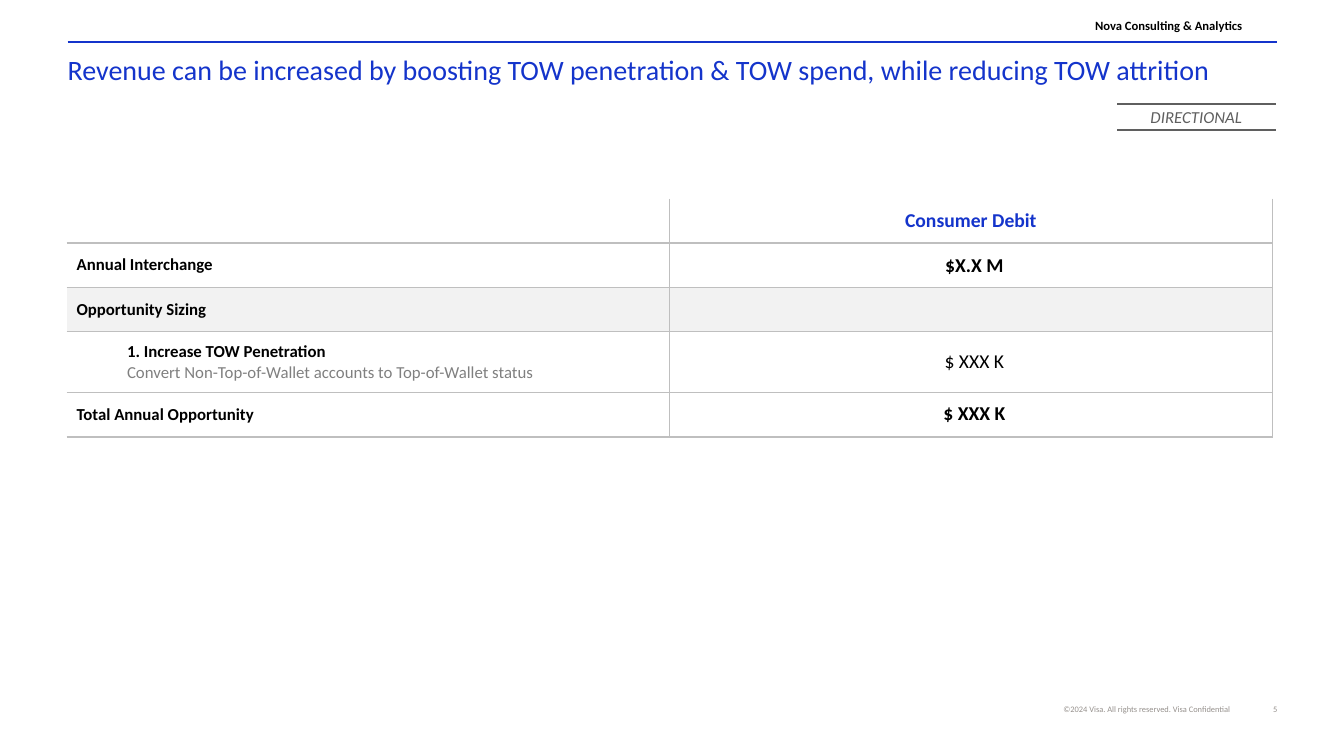
from lxml import etree
from pptx import Presentation
from pptx.dml.color import RGBColor
from pptx.enum.shapes import MSO_CONNECTOR as Conn
from pptx.enum.text import MSO_ANCHOR as Anchor, PP_ALIGN as Align
from pptx.oxml.ns import qn
from pptx.util import Inches, Pt

BLUE, BLACK, GREY, EDGE = "1434CB", "000000", "5F5F5F", "BFBFBF"
PALE, MUTED, NOTE = "F2F2F2", "808080", "96918D"


def paint(target, color):
    """Give a fill or a font one solid colour."""
    if hasattr(target, "solid"):
        target.solid()
        target.fore_color.rgb = RGBColor.from_string(color)
    else:
        target.color.rgb = RGBColor.from_string(color)


def style(para, size, color, align=Align.LEFT, bold=False, italic=False):
    para.alignment = align
    for run in para.runs:
        font = run.font
        font.name, font.size = "Calibri", Pt(size)
        font.bold, font.italic = bold, italic
        paint(font, color)


deck = Presentation()
deck.slide_width, deck.slide_height = Inches(13.33), Inches(7.5)
slide = deck.slides.add_slide(deck.slide_layouts[5])
shapes = slide.shapes

# Title
title = shapes.title
title.left, title.top = Inches(0.67), Inches(0.52)
title.width, title.height = Inches(12), Inches(0.26)
frame = title.text_frame
frame.text = ("Revenue can be increased by boosting TOW penetration & TOW spend, "
              "while reducing TOW attrition")
frame.margin_left = frame.margin_top = frame.margin_right = 0
frame.margin_bottom = Inches(0.1)
frame.vertical_anchor = Anchor.TOP
frame.word_wrap = True
style(frame.paragraphs[0], 20, BLUE)

# Header rule and the two rules of the tag
for left, right, y, color in [
    (0.67, 12.67, 0.42, BLUE),
    (11.08, 12.66, 1.03, GREY),
    (11.08, 12.66, 1.29, GREY),
]:
    line = shapes.add_connector(Conn.STRAIGHT, Inches(left), Inches(y),
                                Inches(right), Inches(y))
    line.line.width = Pt(1.5)
    paint(line.line.fill, color)
    etree.SubElement(line._element.spPr, qn("a:effectLst"))

# Opportunity table
rows = [
    ("", "Consumer Debit"),
    ("Annual Interchange", ""),
    ("Opportunity Sizing", ""),
    ("1. Increase TOW Penetration\n"
     "Convert Non-Top-of-Wallet accounts to Top-of-Wallet status", ""),
    ("Total Annual Opportunity", ""),
]
heights = [0.44, 0.44, 0.44, 0.6, 0.44]
table = shapes.add_table(len(rows), 2, Inches(0.66), Inches(1.97),
                         Inches(11.97), Inches(sum(heights))).table
table.first_row = table.horz_banding = False
for col in table.columns:
    col.width = Inches(5.98)

for r, row in enumerate(rows):
    table.rows[r].height = Inches(heights[r])
    for c, text in enumerate(row):
        cell = table.cell(r, c)
        cell.vertical_anchor = Anchor.MIDDLE
        # The outer left and top edges stay open
        for side, drawn in [("L", c > 0), ("R", True), ("T", r > 0), ("B", True)]:
            edge = etree.SubElement(cell._tc.get_or_add_tcPr(), qn("a:ln" + side),
                                    w=str(Pt(1)))
            if drawn:
                fill = etree.SubElement(edge, qn("a:solidFill"))
                etree.SubElement(fill, qn("a:srgbClr"), val=EDGE)
            else:
                etree.SubElement(edge, qn("a:noFill"))
        if r == 2:
            paint(cell.fill, PALE)
        else:
            cell.fill.background()
        if not text:
            continue
        cell.margin_left = cell.margin_right = Inches(0.1)
        cell.margin_top = cell.margin_bottom = Inches(0.1)
        cell.text_frame.text = text
        for n, para in enumerate(cell.text_frame.paragraphs):
            if r == 0:
                style(para, 14, BLUE, Align.CENTER, bold=True)
            else:
                style(para, 12, MUTED if n else BLACK, bold=n == 0)
            if r == 3:
                props = para._p.get_or_add_pPr()
                props.set("marL", str(Inches(0.5)))
                props.set("indent", "0")

# Table values, tag, header and footer texts
mid, end = Align.CENTER, Align.RIGHT
for text, box, size, color, align, bold, italic, anchor, pad in [
    ("$X.X M", (8.9, 2.46, 1.53, 0.34), 14, BLACK, mid, True, False, Anchor.TOP, 1),
    ("$ XXX K", (8.9, 3.41, 1.53, 0.34), 14, BLACK, mid, False, False, Anchor.TOP, 1),
    ("$ XXX K", (8.9, 3.93, 1.53, 0.34), 14, BLACK, mid, True, False, Anchor.TOP, 1),
    ("DIRECTIONAL", (10.95, 0.99, 1.83, 0.33), 12, GREY, mid, False, True,
     Anchor.MIDDLE, 0),
    ("Nova Consulting & Analytics", (10.38, 0.19, 1.94, 0.14), 9, BLACK, end, True,
     False, Anchor.BOTTOM, 0),
    ("©2024 Visa. All rights reserved. Visa Confidential", (9.97, 6.99, 2.23, 0.1),
     6, NOTE, end, False, False, Anchor.BOTTOM, 0),
    ("5", (12.24, 6.99, 0.43, 0.1), 6, NOTE, end, False, False, Anchor.TOP, 0),
]:
    frame = shapes.add_textbox(*map(Inches, box)).text_frame
    frame.text = text
    frame.word_wrap = True
    frame.vertical_anchor = anchor
    frame.margin_left = frame.margin_right = Inches(0.1 * pad)
    frame.margin_top = frame.margin_bottom = Inches(0.05 * pad)
    style(frame.paragraphs[0], size, color, align, bold, italic)

deck.save("out.pptx")
